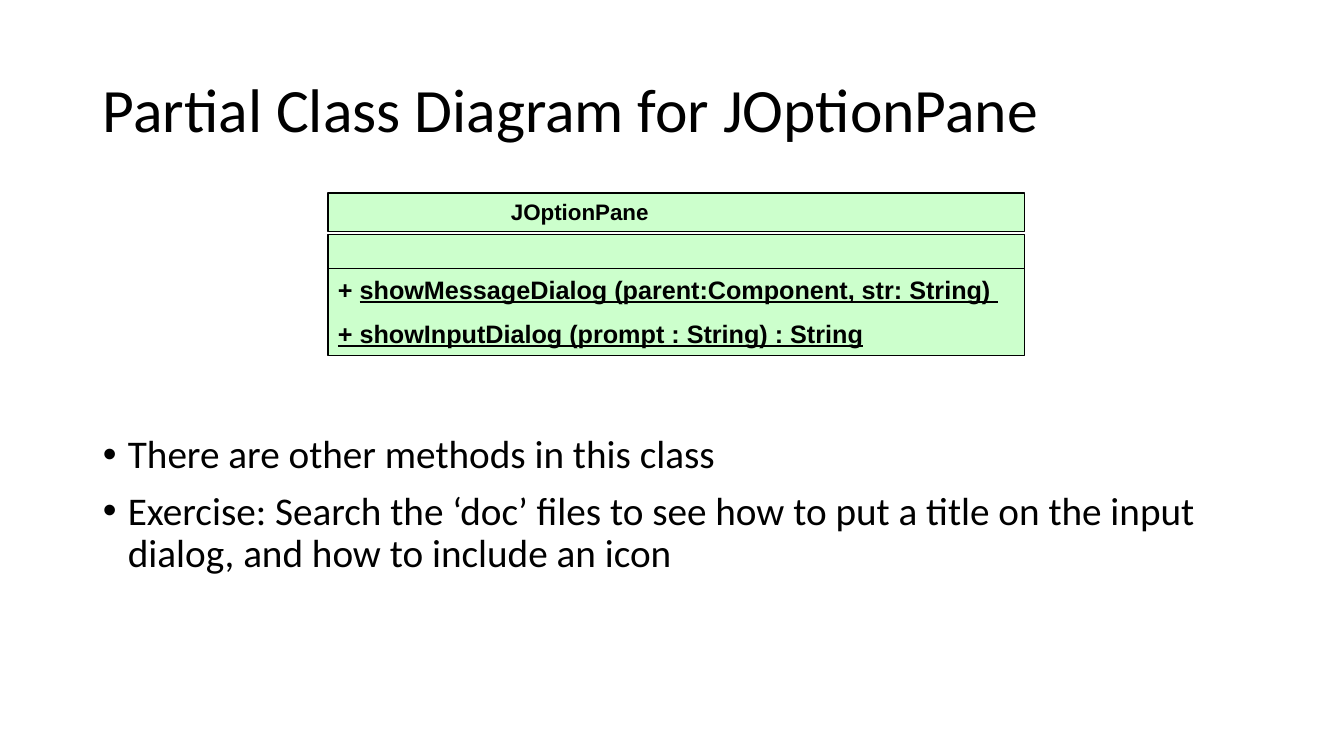
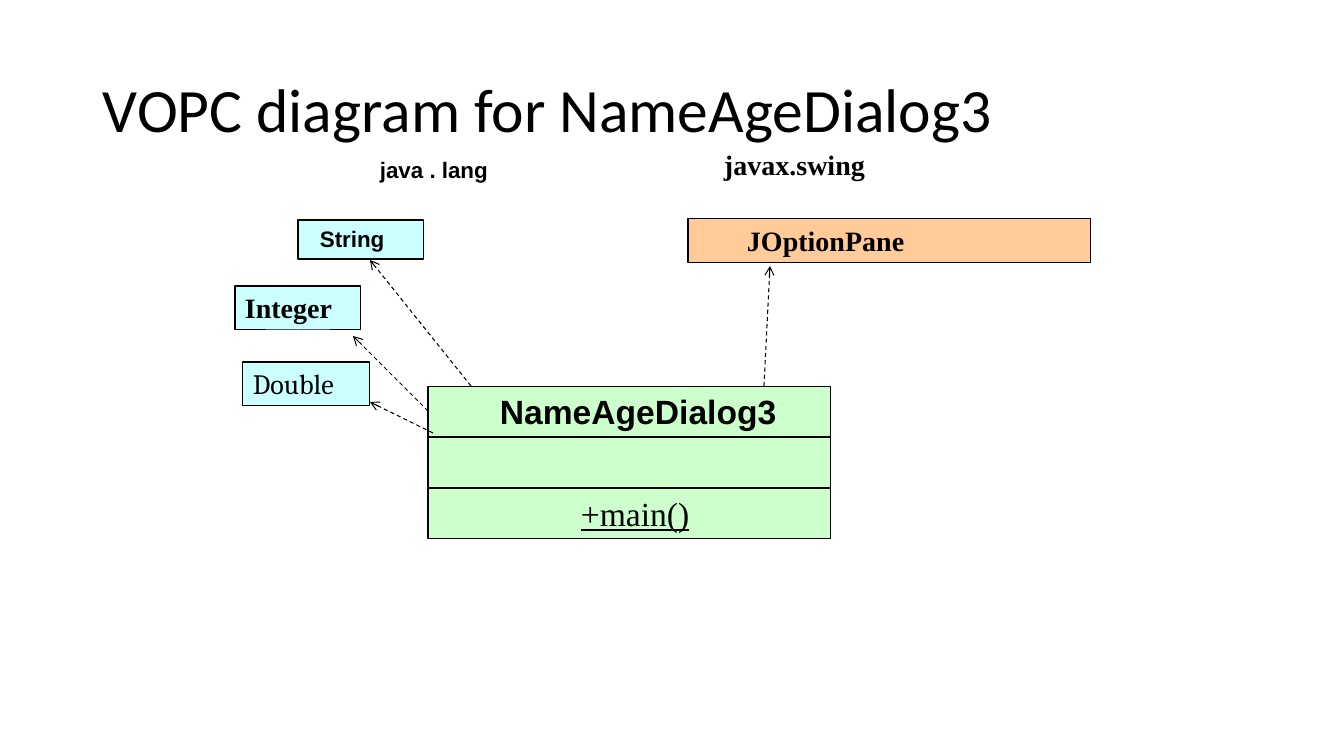
from dataclasses import dataclass
from pptx import Presentation
from pptx.dml.color import RGBColor
from pptx.enum.dml import MSO_LINE
from pptx.enum.shapes import MSO_CONNECTOR, MSO_SHAPE
from pptx.enum.text import MSO_ANCHOR
from pptx.oxml.xmlchemy import OxmlElement
from pptx.util import Emu, Pt

SCALE = 914400 / 100.8


def px(num):
    return Emu(round(num * SCALE))


@dataclass(frozen=True)
class Theme:
    ink: str = "000000"
    green: str = "CCFFCC"
    blue: str = "CCFFFF"
    peach: str = "FFCC99"
    head: int = 44
    body: int = 28
    large: int = 24
    mid: int = 20
    code: int = 18
    small: int = 16
    line: float = 0.75
    gap: int = 10
    lead: float = 0.9
    main: str = "Calibri"
    sans: str = "Arial"
    serif: str = "Times New Roman"
    book: str = "Cambria"


class Deck:
    def __init__(self, theme):
        self.theme = theme
        self.show = Presentation()
        self.show.slide_width, self.show.slide_height = px(1344), px(756)
        self.slide = None

    def page(self, title):
        self.slide = self.show.slides.add_slide(self.show.slide_layouts[6])
        frame = self.label(93, 40, 1159, 146, [[title]],
                           self.theme.main, self.theme.head, bold=False)
        frame.vertical_anchor = MSO_ANCHOR.MIDDLE
        frame.paragraphs[0].line_spacing = self.theme.lead

    def text(self, frame, rows, font, size, bold=True, under=False, shift=0):
        frame.word_wrap = True
        for i, row in enumerate(rows):
            para = frame.add_paragraph() if i else frame.paragraphs[0]
            para.space_before = Pt(self.theme.gap if i else 0)
            if shift:
                para._p.get_or_add_pPr().set("marL", str(px(shift)))
            for part in row:
                words, line = part if isinstance(part, tuple) else (part, under)
                run = para.add_run()
                run.text = words
                run.font.name, run.font.size = font, Pt(size)
                run.font.bold, run.font.underline = bold, line
                run.font.color.rgb = RGBColor.from_string(self.theme.ink)
        return frame

    def label(self, x, y, w, h, rows, font, size, **style):
        area = self.slide.shapes.add_textbox(px(x), px(y), px(w), px(h))
        return self.text(area.text_frame, rows, font, size, **style)

    def points(self, x, y, w, h, items):
        frame = self.label(x, y, w, h, [[item] for item in items],
                           self.theme.main, self.theme.body, bold=False)
        for para in frame.paragraphs:
            para.line_spacing = self.theme.lead
            prop = para._p.get_or_add_pPr()
            prop.set("marL", str(px(25)))
            prop.set("indent", str(px(-25)))
            font = OxmlElement("a:buFont")
            font.set("typeface", self.theme.sans)
            mark = OxmlElement("a:buChar")
            mark.set("char", "•")
            prop.extend([font, mark])

    def stroke(self, line):
        line.color.rgb = RGBColor.from_string(self.theme.ink)
        line.width = Pt(self.theme.line)

    def box(self, x, y, w, h, fill, rows=(), font=None, size=None, **style):
        shape = self.slide.shapes.add_shape(
            MSO_SHAPE.RECTANGLE, px(x), px(y), px(w), px(h))
        shape.shadow.inherit = False
        shape.fill.solid()
        shape.fill.fore_color.rgb = RGBColor.from_string(fill)
        self.stroke(shape.line)
        frame = shape.text_frame
        frame.vertical_anchor = MSO_ANCHOR.TOP
        self.text(frame, rows, font, size, **style)
        for para in frame.paragraphs:
            para._p.get_or_add_pPr().set("algn", "l")

    def arrow(self, x, y, to_x, to_y):
        link = self.slide.shapes.add_connector(
            MSO_CONNECTOR.STRAIGHT, px(x), px(y), px(to_x), px(to_y))
        self.stroke(link.line)
        link.line.dash_style = MSO_LINE.DASH
        tip = OxmlElement("a:tailEnd")
        tip.set("type", "arrow")
        link.line._get_or_add_ln().append(tip)
        link._element.spPr.append(OxmlElement("a:effectLst"))


theme = Theme()
deck = Deck(theme)

deck.page("Partial Class Diagram for JOptionPane")
deck.points(93, 430, 1159, 251, [
    "There are other methods in this class",
    "Exercise: Search the ‘doc’ files to see how to put a title on the input "
    "dialog, and how to include an icon",
])
deck.box(328, 193, 697, 39, theme.green, [["JOptionPane"]],
         theme.sans, theme.small, shift=173)
deck.box(328, 235, 697, 38, theme.green)
deck.box(328, 269, 697, 87, theme.green, [
    [("+ ", False), "showMessageDialog (parent:Component, str: String) "],
    ["+ showInputDialog (prompt : String) : String"],
], theme.sans, theme.code, under=True)

deck.page("VOPC diagram for NameAgeDialog3")
deck.label(370, 151, 227, 37, [["java . lang"]], theme.sans, theme.small)
deck.label(714, 143, 361, 43, [["javax.swing"]], theme.serif, theme.mid)
deck.box(298, 220, 126, 39, theme.blue, [["String"]],
         theme.sans, theme.small, shift=12)
deck.box(235, 286, 126, 44, theme.blue, [["Integer"]], theme.serif, theme.mid)
deck.box(243, 362, 127, 44, theme.blue, [["Double"]],
         theme.book, theme.mid, bold=False)
deck.box(688, 219, 403, 44, theme.peach, [["JOptionPane"]],
         theme.serif, theme.mid, shift=49)

left, top, wide, high = 428, 386, 403, 51
deck.box(left, top, wide, high, theme.green, [["NameAgeDialog3"]],
         theme.sans, theme.large, shift=62)
deck.box(left, top + high, wide, high, theme.green)
deck.box(left, top + 2 * high, wide, high, theme.green, [["+main()"]],
         theme.serif, theme.large, bold=False, under=True, shift=143)

for ends in [
    (471, 386, 370, 260),
    (764, 386, 770, 266),
    (428, 411, 353, 336),
    (433, 433, 370, 402),
]:
    deck.arrow(*ends)

deck.show.save("out.pptx")
